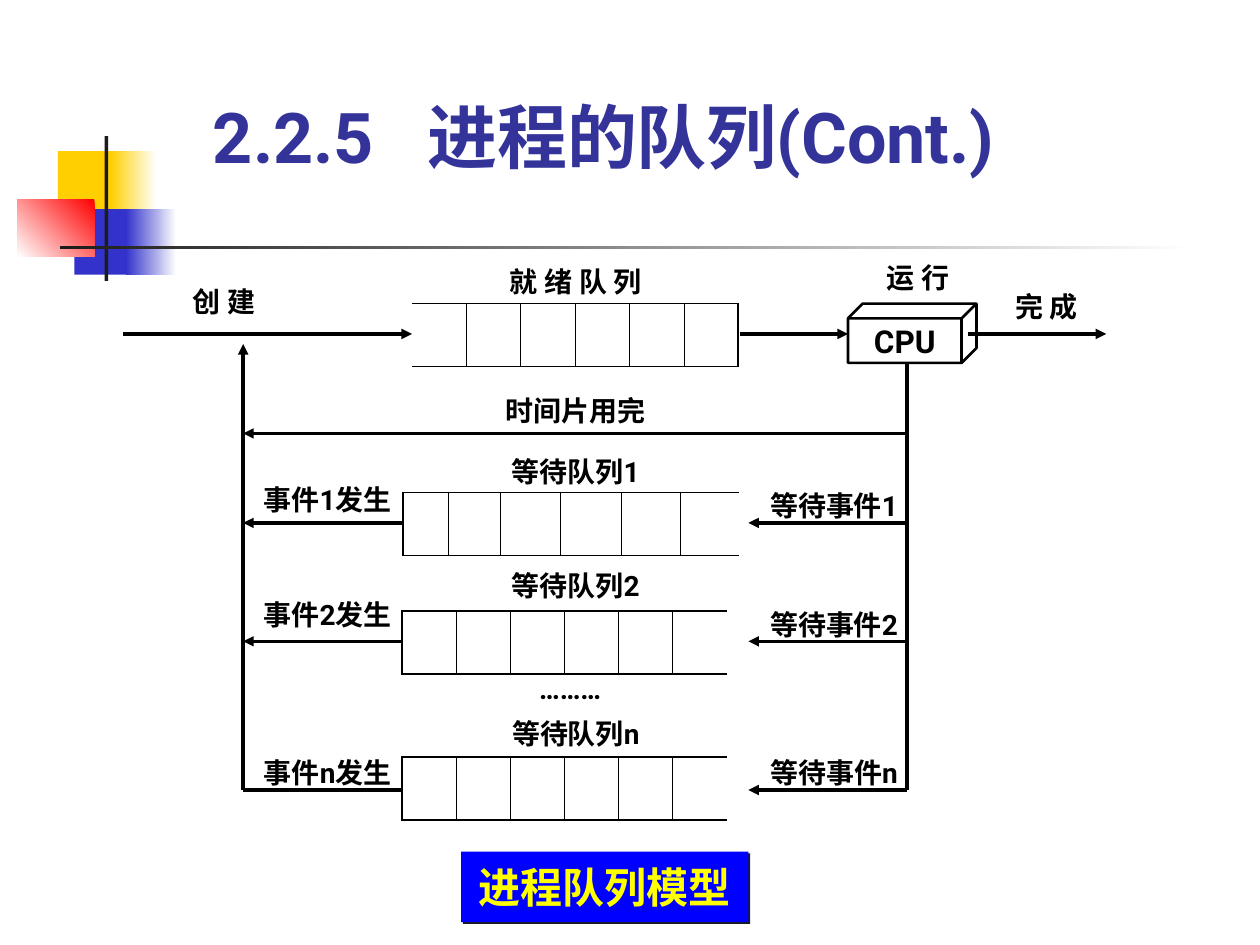
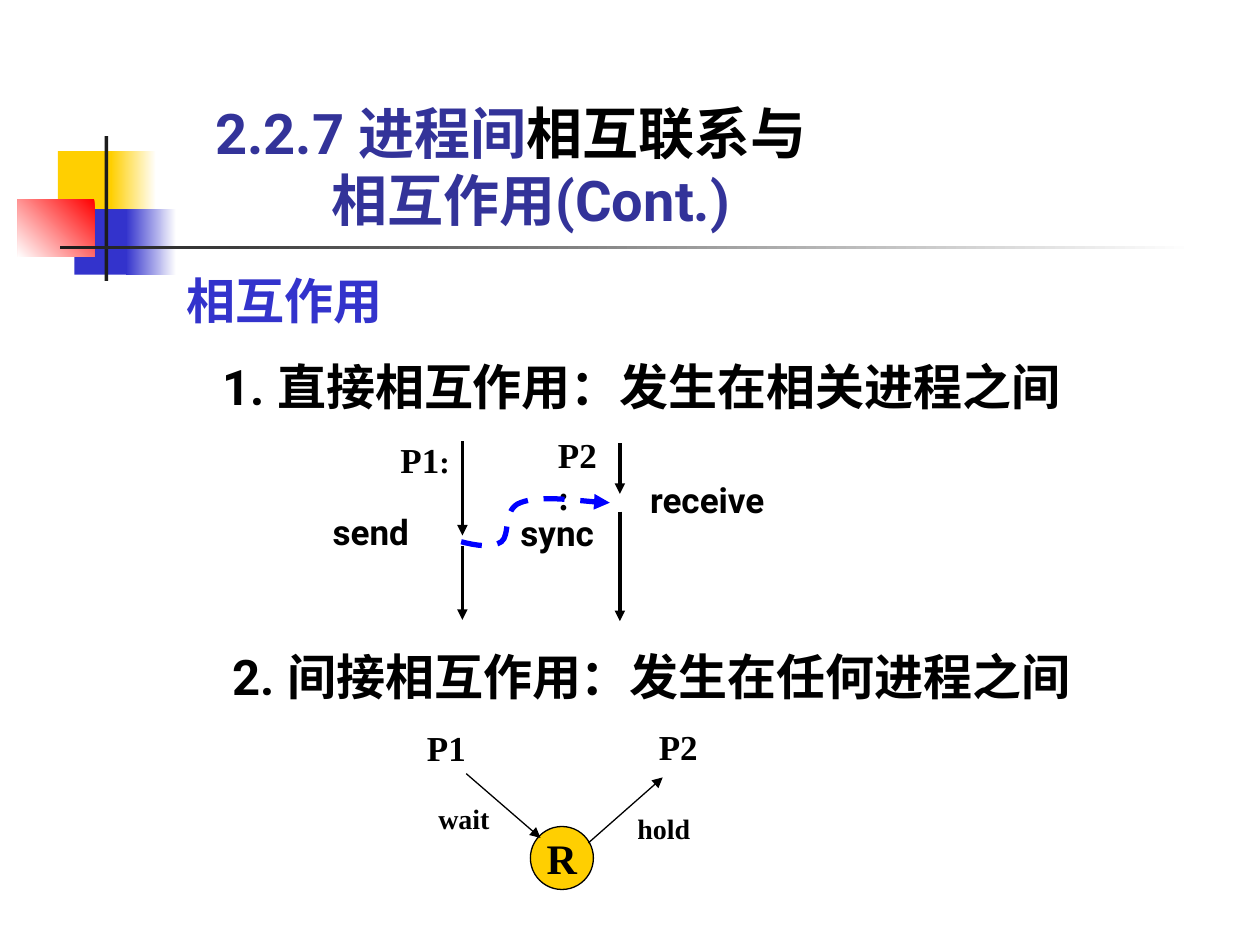
import pptx
import pptx.dml.color
import pptx.enum.shapes
import pptx.enum.text
import pptx.oxml
import pptx.oxml.ns
import pptx.util
from pptx.util import Inches

COLORS = {
    "ink": "000000",
    "title": "333399",
    "blue": "3333CC",
    "gold": "FFCF01",
    "red": "FF0000",
    "white": "FFFFFF",
    "bar": "1C1C1C",
    "label": "0000FF",
    "yellow": "FFFF00",
}
SANS, SERIF = "Roboto", "Times New Roman"
SHAPE = pptx.enum.shapes.MSO_SHAPE
ALIGN = pptx.enum.text.PP_ALIGN
ANCHOR = pptx.enum.text.MSO_ANCHOR
AUTO = pptx.enum.text.MSO_AUTO_SIZE
qn = pptx.oxml.ns.qn


def rgb(color):
    return pptx.dml.color.RGBColor.from_string(COLORS[color])


def element(markup):
    """Parse one drawing element written with the a: prefix."""
    name, rest = markup[1:].split(" ", 1)
    return pptx.oxml.parse_xml(f"<{name} {pptx.oxml.ns.nsdecls('a')} {rest}")


class Painter:
    def __init__(self):
        self.deck = pptx.Presentation()
        self.deck.slide_width, self.deck.slide_height = Inches(10), Inches(7.5)
        self.layout = self.deck.slide_layouts[5]
        self.page = None

    def new_page(self):
        self.page = self.deck.slides.add_slide(self.layout)

    def decorate_layout(self):
        """Put the coloured blocks and crossing bars on the shared layout."""
        blocks = [
            (0.46, 1.2, 0.48, 0.52, "gold", None),
            (0.88, 1.2, 0.36, 0.52, ("white", "gold"), 180),
            (0.59, 1.66, 0.46, 0.52, "blue", None),
            (1, 1.66, 0.4, 0.52, ("white", "blue"), 180),
            (0.14, 1.58, 0.61, 0.46, ("red", "white"), 225),
            (0.83, 1.08, 0.03, 1.15, "bar", None),
            (0.48, 1.95, 9, 0.03, ("white", "bar"), 180),
        ]
        for number, (left, top, width, height, fill, angle) in enumerate(blocks, 101):
            block = self.shape(SHAPE.RECTANGLE, left, top, width, height,
                               None if angle else fill)
            if angle:
                block.fill.gradient()
                block.fill.gradient_angle = angle
                for stop, color in zip(block.fill.gradient_stops, fill):
                    stop.color.rgb = rgb(color)
            block.element.nvSpPr.cNvPr.set("id", str(number))
            self.layout.shapes.element.append(block.element)

    def span(self, para, text, size, color="ink", font=SANS):
        span = para.add_run()
        span.text = text
        span.font.size = pptx.util.Pt(size)
        span.font.bold = True
        span.font.name = font
        span.font.color.rgb = rgb(color)
        span.font.element.append(element(f'<a:ea typeface="{font}"/>')) \
            if hasattr(span.font, "element") else \
            span._r.get_or_add_rPr().append(element(f'<a:ea typeface="{font}"/>'))

    def frame(self, box, inset=(0, 0), anchor=ANCHOR.TOP, wrap=True, auto=AUTO.NONE):
        frame = box.text_frame
        frame.margin_left = frame.margin_right = Inches(inset[0])
        frame.margin_top = frame.margin_bottom = Inches(inset[1])
        frame.vertical_anchor = anchor
        frame.word_wrap = wrap
        frame.auto_size = auto
        return frame

    def title(self, left, top, width, height, **style):
        """Place the title placeholder and return its text frame."""
        box = self.page.shapes.title
        box.left, box.top = Inches(left), Inches(top)
        box.width, box.height = Inches(width), Inches(height)
        frame = self.frame(box, anchor=ANCHOR.BOTTOM, **style)
        frame.paragraphs[0].alignment = ALIGN.LEFT
        return frame

    def text(self, left, top, width, height, text, size=16, color="ink",
             font=SANS, align=ALIGN.LEFT, inset=(0, 0)):
        box = self.page.shapes.add_textbox(
            Inches(left), Inches(top), Inches(width), Inches(height))
        para = self.frame(box, inset, auto=AUTO.SHAPE_TO_FIT_TEXT).paragraphs[0]
        para.alignment = align
        self.span(para, text, size, color, font)
        return para

    def caption(self, left, top, text, width=1.5):
        self.text(left, top, width, 0.27, text, align=ALIGN.CENTER)

    def shape(self, kind, left, top, width, height, fill=None, line=None):
        shape = self.page.shapes.add_shape(
            kind, Inches(left), Inches(top), Inches(width), Inches(height))
        shape.shadow.inherit = False
        self.paint(shape, fill, line)
        return shape

    def paint(self, shape, fill=None, line=None, color="ink"):
        if fill:
            shape.fill.solid()
            shape.fill.fore_color.rgb = rgb(fill)
        else:
            shape.fill.background()
        if line:
            shape.line.color.rgb = rgb(color)
            shape.line.width = pptx.util.Pt(line)
        else:
            shape.line.fill.background()

    def write_in(self, shape, text, size, color="ink", font=SANS, **style):
        para = self.frame(shape, **style).paragraphs[0]
        para.alignment = ALIGN.CENTER
        self.span(para, text, size, color, font)

    def add_head(self, line):
        line.get_or_add_ln().append(element('<a:tailEnd type="triangle"/>'))

    def line(self, x1, y1, x2, y2, width=2, head=True):
        line = self.page.shapes.add_connector(
            pptx.enum.shapes.MSO_CONNECTOR.STRAIGHT,
            Inches(x1), Inches(y1), Inches(x2), Inches(y2))
        line.line.color.rgb = rgb("ink")
        line.line.width = pptx.util.Pt(width)
        if head:
            self.add_head(line)
        line.element.spPr.append(element("<a:effectLst />"))

    def curve(self, points, width, color):
        """Draw a dashed arrow: a start point, then three points a Bezier part."""
        builder = self.page.shapes.build_freeform(
            Inches(points[0][0]), Inches(points[0][1]))
        builder.add_line_segments(
            [(Inches(x), Inches(y)) for x, y in points[1:]], close=False)
        curve = builder.convert_to_shape()
        curve.shadow.inherit = False
        self.paint(curve, line=width, color=color)
        curve.line.dash_style = pptx.enum.dml.MSO_LINE.DASH
        self.add_head(curve)
        steps = list(curve.element.iter(qn("a:lnTo")))
        for start in range(0, len(steps), 3):
            bezier = element("<a:cubicBezTo />")
            steps[start].addprevious(bezier)
            for step in steps[start:start + 3]:
                bezier.append(step[0])
                step.getparent().remove(step)

    def queue(self, left, top, widths, open_side):
        """Draw a one-row table whose left ("L") or right ("R") end is open."""
        table = self.page.shapes.add_table(
            1, len(widths), Inches(left), Inches(top),
            Inches(sum(widths)), Inches(0.5)).table
        table.first_row = table.horz_banding = False
        last = len(widths) - 1
        for index, width in enumerate(widths):
            table.columns[index].width = Inches(width)
            cell = table.cell(0, index)
            for side in "LRTB":
                outer = side in "TB" or (side, index) in (("L", 0), ("R", last))
                is_open = outer and side == open_side
                points = 1.08 if outer else 0.45
                paint = ("<a:noFill/>" if is_open else "<a:solidFill>"
                         f'<a:srgbClr val="{COLORS["ink"]}"/></a:solidFill>')
                cell._tc.get_or_add_tcPr().append(element(
                    f'<a:ln{side} w="{round(points * 12700)}">{paint}</a:ln{side}>'))
            cell.fill.background()


def draw_queue_model(painter):
    painter.new_page()
    painter.decorate_layout()
    title = painter.title(1.69, 0.84, 7.01, 0.57, auto=AUTO.SHAPE_TO_FIT_TEXT)
    para = title.paragraphs[0]
    para.line_spacing = 0.85
    para._p.get_or_add_pPr().append(element(
        f'<a:tabLst ><a:tab pos="{Inches(1.7)}" algn="l"/></a:tabLst>'))
    painter.span(para, "2.2.5\t进程的队列(Cont.)", 40, "title")

    even = [0.43] * 6
    return_x, cpu_x, main_y, last_y = 1.93, 7.2, 2.65, 6.27
    painter.queue(3.27, 2.41, [2.59 / 6] * 6, "L")
    # name, arrow y, table left, top and columns, then tops of the three captions
    waits = [
        ("1", 4.15, 3.2, 3.91, [0.36, 0.41, 0.48, 0.48, 0.47, 0.47], 3.61, 3.88, 3.83),
        ("2", 5.09, 3.19, 4.85, even, 4.51, 4.82, 4.74),
        ("n", last_y, 3.19, 6.01, even, 5.69, 6, 6),
    ]
    for name, y, left, top, widths, queue_top, wait_top, event_top in waits:
        painter.queue(left, top, widths, "R")
        painter.line(cpu_x, y, 5.94, y)
        painter.line(3.19, y, return_x, y, head=name != "n")
        painter.caption(3.82, queue_top, "等待队列" + name)
        painter.caption(5.87, wait_top, "等待事件" + name)
        painter.caption(1.85, event_top, f"事件{name}发生")

    cpu = painter.shape(SHAPE.CUBE, 6.73, 2.41, 1.02, 0.47, line=1.5)
    painter.write_in(cpu, "CPU", 18, inset=(0.1, 0.05), anchor=ANCHOR.MIDDLE, wrap=False)
    painter.line(0.98, main_y, 3.27, main_y)
    painter.line(5.87, main_y, 6.73, main_y)
    painter.line(7.68, main_y, 8.78, main_y)
    painter.line(cpu_x, 2.89, cpu_x, last_y, head=False)
    painter.line(return_x, last_y, return_x, 2.73)
    painter.line(cpu_x, 3.44, return_x, 3.44)
    painter.caption(3.82, 2.1, "就 绪 队 列")
    painter.caption(3.82, 3.12, "时间片用完")
    for left, top, text in [(1.38, 2.26, "创 建"), (6.89, 2.07, "运 行"),
                            (7.91, 2.3, "完 成"), (4.13, 5.33, "………")]:
        painter.caption(left, top, text, width=0.79)

    label = painter.shape(SHAPE.RECTANGLE, 3.66, 6.76, 2.28, 0.56, "label")
    label.element.spPr.find(qn("a:effectLst")).append(element(
        '<a:outerShdw dist="17780" dir="2700000" algn="ctr" rotWithShape="0">'
        f'<a:srgbClr val="{COLORS["bar"]}"/></a:outerShdw>'))
    painter.write_in(label, "进程队列模型", 24, "yellow", inset=(0, 0.08),
                     auto=AUTO.SHAPE_TO_FIT_TEXT)


def draw_interaction(painter):
    painter.new_page()
    inset = (0.1, 0.05)
    title = painter.title(1.61, 0.76, 5.79, 1.14, inset=inset)
    para = title.paragraphs[0]
    painter.span(para, "2.2.7 进程间", 32, "title")
    painter.span(para, "相互联系与", 32)
    para = title.add_paragraph()
    para.alignment = ALIGN.LEFT
    para._p.get_or_add_pPr().set("marL", str(Inches(0.92)))
    painter.span(para, "相互作用(Cont.)", 32, "title")

    painter.text(1.38, 2.1, 2.12, 0.57, "相互作用", 28, "blue", inset=inset)
    painter.text(1.67, 2.78, 6.96, 0.57, "1. 直接相互作用：发生在相关进程之间", 28, inset=inset)
    painter.text(1.75, 5.08, 7.25, 0.57, "2. 间接相互作用：发生在任何进程之间", 28, inset=inset)

    for x, top, bottom in [(3.67, 3.5, 4.25), (3.67, 4.33, 4.92),
                           (4.92, 3.52, 3.92), (4.92, 4.06, 4.93)]:
        painter.line(x, top, x, bottom)
    for left, top, width, text in [(4.13, 4.06, 0.71, "sync"), (2.64, 4.05, 0.79, "send"),
                                   (5.16, 3.8, 1.1, "receive")]:
        painter.text(left, top, width, 0.33, text, 20)

    resource = painter.shape(SHAPE.OVAL, 4.21, 6.56, 0.5, 0.5, "gold", 0.75)
    painter.write_in(resource, "R", 24, font=SERIF, inset=inset,
                     anchor=ANCHOR.MIDDLE, wrap=False)
    para = painter.text(3.08, 3.43, 0.67, 0.44, "P1", 20, font=SERIF, inset=inset)
    painter.span(para, ":", 18, font=SERIF)
    for left, top, width, text, size in [
            (4.33, 3.39, 0.58, "P2:", 20), (5.13, 5.71, 0.58, "P2", 20),
            (3.29, 5.72, 0.67, "P1", 20), (4.96, 6.39, 0.67, "hold", 16),
            (3.38, 6.31, 0.75, "wait", 16)]:
        painter.text(left, top, width, 0.4, text, size, font=SERIF, inset=inset)
    painter.line(4.67, 6.69, 5.26, 6.17, width=0.75)
    painter.line(3.7, 6.14, 4.29, 6.65, width=0.75)
    painter.curve([(3.66, 4.3), (3.78, 4.33), (3.9, 4.35), (3.98, 4.3),
                   (4.05, 4.25), (3.99, 4.04), (4.13, 3.99),
                   (4.28, 3.93), (4.72, 3.99), (4.84, 3.99)], 3, "label")


def main():
    painter = Painter()
    draw_queue_model(painter)
    draw_interaction(painter)
    painter.deck.save("out.pptx")


if __name__ == "__main__":
    main()
